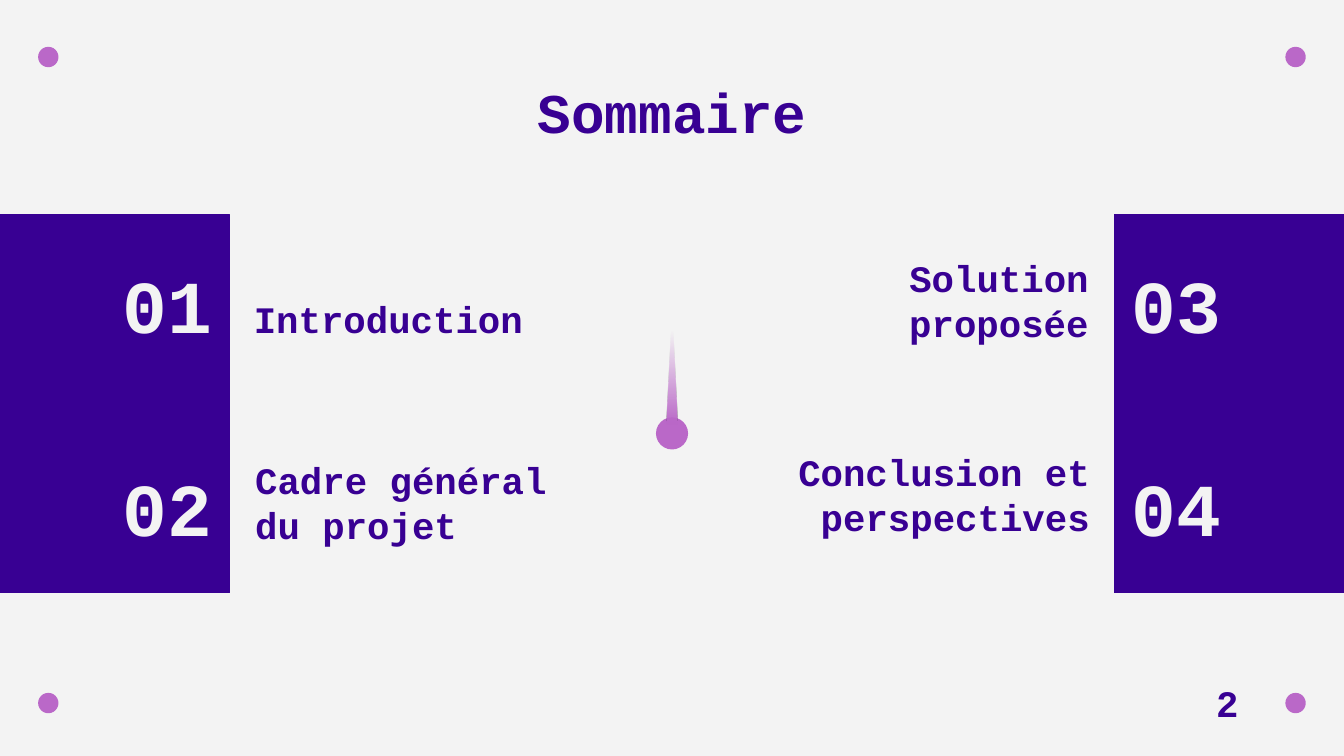
from dataclasses import dataclass

from lxml.etree import fromstring
from pptx import Presentation
from pptx.dml.color import RGBColor
from pptx.enum.shapes import MSO_SHAPE as Preset
from pptx.enum.text import MSO_ANCHOR as Anchor, MSO_AUTO_SIZE as AutoSize, PP_ALIGN as Align
from pptx.oxml.ns import nsdecls
from pptx.util import Pt

INDIGO = RGBColor(0x38, 0x00, 0x93)
ORCHID = RGBColor(0xBA, 0x68, 0xC8)
PALE = RGBColor(0xF3, 0xF3, 0xF3)
FONT = "Courier New"
WIDTH, HEIGHT = 720, 405


@dataclass(frozen=True)
class Box:
    left: float
    top: float
    width: float
    height: float

    def lengths(self) -> tuple:
        return Pt(self.left), Pt(self.top), Pt(self.width), Pt(self.height)


@dataclass(frozen=True)
class Entry:
    number: str
    label: str
    number_left: float
    number_top: float
    label_left: float
    label_top: float
    align: Align


ENTRIES = [
    Entry("01", "Introduction", 56.2, 142.6, 128.9, 141.8, Align.LEFT),
    Entry("02", "Cadre général du projet", 56.2, 251.3, 129.6, 252, Align.LEFT),
    Entry("03", "Solution proposée", 596.9, 142.6, 414.7, 144, Align.RIGHT),
    Entry("04", "Conclusion et perspectives", 596.9, 251.3, 415.4, 247.7, Align.RIGHT),
]


def add_filled(slide, preset: Preset, box: Box, color: RGBColor):
    shape = slide.shapes.add_shape(preset, *box.lengths())
    shape.shadow.inherit = False
    shape.fill.solid()
    shape.fill.fore_color.rgb = color
    shape.line.fill.background()
    return shape


def write(shape, text: str, size: float, color: RGBColor, align: Align,
          anchor: Anchor, inset_top: float = 7.2) -> None:
    frame = shape.text_frame
    frame.word_wrap = True
    frame.auto_size = AutoSize.NONE
    frame.vertical_anchor = anchor
    frame.margin_left = frame.margin_right = frame.margin_bottom = Pt(7.2)
    frame.margin_top = Pt(inset_top)
    paragraph = frame.paragraphs[0]
    paragraph.alignment = align
    run = paragraph.add_run()
    run.text = text
    run.font.name = FONT
    run.font.size = Pt(size)
    run.font.bold = True
    run.font.color.rgb = color


def add_text(slide, box: Box, text: str, align: Align, anchor: Anchor,
             inset_top: float) -> None:
    text_box = slide.shapes.add_textbox(*box.lengths())
    write(text_box, text, 20, INDIGO, align, anchor, inset_top)


def add_entry(slide, entry: Entry) -> None:
    number_box = Box(entry.number_left, entry.number_top, 67, 40.3)
    number = add_filled(slide, Preset.RECTANGLE, number_box, INDIGO)
    write(number, entry.number, 40, PALE, Align.CENTER, Anchor.MIDDLE)
    label_box = Box(entry.label_left, entry.label_top, 175.7, 48.2)
    add_text(slide, label_box, entry.label, entry.align, Anchor.BOTTOM, 0)


def fade_upward(shape, color: RGBColor) -> None:
    """Fade the fill from opaque at the base to clear near the tip."""
    stops = "".join(
        f'<a:gs pos="{position}"><a:srgbClr val="{color}"><a:alpha val="{alpha}"/></a:srgbClr></a:gs>'
        for position, alpha in ((0, 100000), (80000, 0), (100000, 0)))
    gradient = fromstring(
        f'<a:gradFill {nsdecls("a")} rotWithShape="1"><a:gsLst>{stops}</a:gsLst>'
        '<a:lin ang="16200000" scaled="0"/></a:gradFill>')
    properties = shape.fill._xPr
    properties.replace(properties.eg_fillProperties, gradient)


def main() -> None:
    presentation = Presentation()
    presentation.slide_width, presentation.slide_height = Pt(WIDTH), Pt(HEIGHT)
    slide = presentation.slides.add_slide(presentation.slide_layouts[5])
    slide.background.fill.solid()
    slide.background.fill.fore_color.rgb = PALE

    # Corner dots
    for left in (20.4, 688.6):
        for top in (25.1, 371.2):
            add_filled(slide, Preset.OVAL, Box(left, top, 10.9, 10.9), ORCHID)

    # Side panels
    for left in (0, WIDTH - 123.1):
        panel = add_filled(slide, Preset.RECTANGLE, Box(left, 115, 123.1, 202.6), INDIGO)
        panel.line.color.rgb = INDIGO
        panel.line.width = Pt(0.75)

    # Title
    title = slide.shapes.title
    title.left, title.top, title.width, title.height = Box(56.2, 42.5, 607.7, 42.5).lengths()
    write(title, "Sommaire", 30, INDIGO, Align.CENTER, Anchor.BOTTOM)

    # Numbered entries
    for entry in ENTRIES:
        add_entry(slide, entry)

    # Central marker with its fading trail
    add_filled(slide, Preset.OVAL, Box(351.4, 223.6, 17.2, 17.2), ORCHID)
    trail = add_filled(slide, Preset.ISOSCELES_TRIANGLE, Box(357, 164.9, 6, 62.6), ORCHID)
    fade_upward(trail, ORCHID)

    # Page number
    add_text(slide, Box(644.4, 360.7, 38.2, 31.5), "2", Align.LEFT, Anchor.TOP, 3.6)

    presentation.save("out.pptx")


if __name__ == "__main__":
    main()
